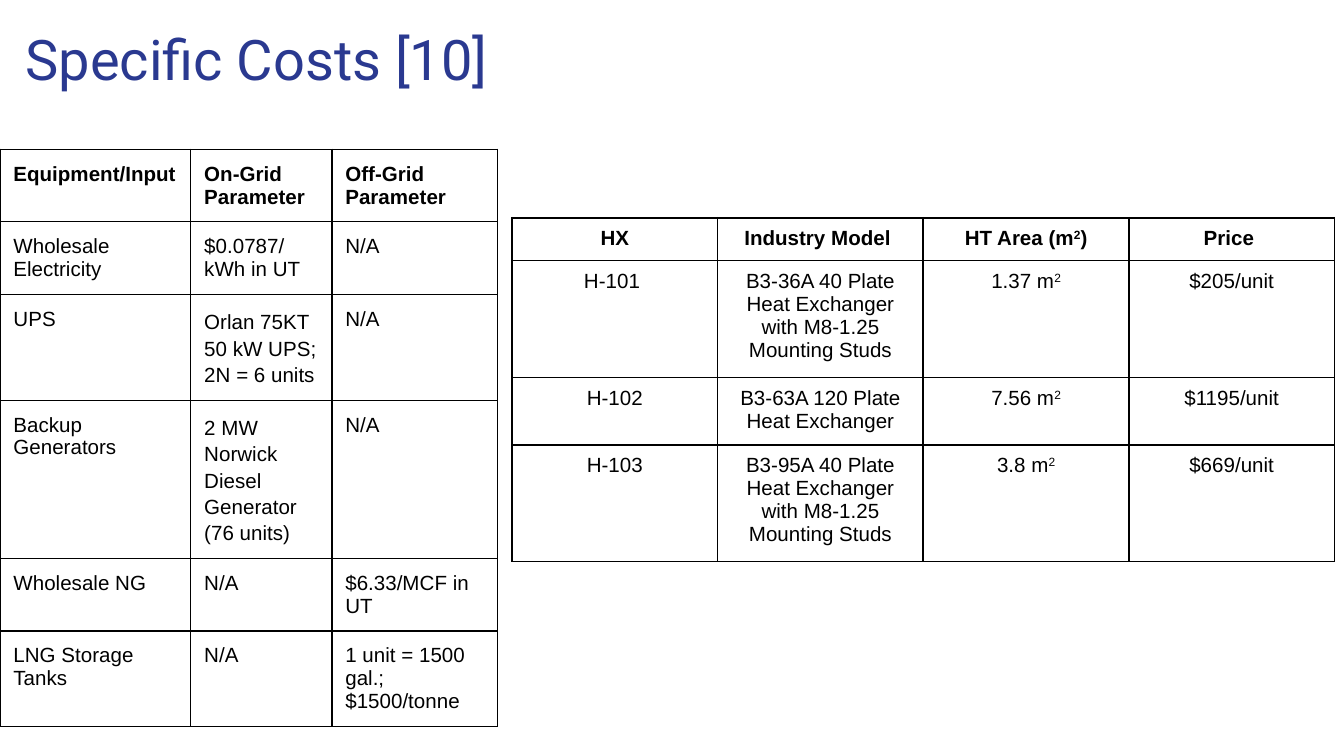
from lxml import etree
from pptx import Presentation
from pptx.dml.color import RGBColor
from pptx.enum.text import MSO_ANCHOR, MSO_AUTO_SIZE, PP_ALIGN
from pptx.oxml.ns import qn
from pptx.util import Inches, Pt

LEFT, CENTER = PP_ALIGN.LEFT, PP_ALIGN.CENTER
TOP = MSO_ANCHOR.TOP
NO_FIT = MSO_AUTO_SIZE.NONE
TITLE_ONLY = 5

COSTS = [
    ["Equipment/Input", "On-Grid Parameter", "Off-Grid Parameter"],
    ["Wholesale Electricity", "$0.0787/kWh in UT", "N/A"],
    ["UPS", "Orlan 75KT 50 kW UPS; 2N = 6 units", "N/A"],
    ["Backup Generators", "2 MW Norwick Diesel Generator (76 units)", "N/A"],
    ["Wholesale NG", "N/A", "$6.33/MCF in UT"],
    ["LNG Storage Tanks", "N/A", "1 unit = 1500 gal.; $1500/tonne"],
]
# Text between bars is superscript.
EXCHANGERS = [
    ["HX", "Industry Model ", "HT Area (m|2|)", "Price "],
    ["H-101 ", "B3-36A 40 Plate Heat Exchanger with M8-1.25 Mounting Studs",
     "1.37 m|2", "$205/unit"],
    ["H-102", "B3-63A 120 Plate Heat Exchanger", "7.56 m|2", "$1195/unit"],
    ["H-103", "B3-95A 40 Plate Heat Exchanger with M8-1.25 Mounting Studs",
     "3.8 m|2", "$669/unit"],
]


def color(hex_string):
    return RGBColor.from_string(hex_string)


class Deck:
    ink, paper, accent = "000000", "FFFFFF", "2A3990"
    title_font, body_font = "Roboto", "Arial"
    title_size, body_size = 30, 11

    def __init__(self, prs):
        self.s = prs.slides.add_slide(prs.slide_layouts[TITLE_ONLY])

    def style(self, r, font, size, hex_string, bold=False):
        r.font.name, r.font.size, r.font.bold = font, Pt(size), bold
        r.font.color.rgb = color(hex_string)

    def title(self, text, x, y, w, h):
        sp = self.s.shapes.title
        sp.left, sp.top, sp.width, sp.height = map(Inches, (x, y, w, h))
        tf = sp.text_frame
        tf.text = text
        tf.auto_size, tf.vertical_anchor = NO_FIT, TOP
        self.margins(tf, 0.1)
        p = tf.paragraphs[0]
        p.alignment, p.line_spacing = LEFT, 1.0
        self.style(p.runs[0], self.title_font, self.title_size, self.accent)

    def margins(self, box, inset):
        box.margin_left = box.margin_right = Inches(inset)
        box.margin_top = box.margin_bottom = Inches(inset)

    def borders(self, cell, width):
        tcPr = cell._tc.get_or_add_tcPr()
        for side in ("a:lnL", "a:lnR", "a:lnT", "a:lnB"):
            ln = etree.SubElement(tcPr, qn(side), w=str(Pt(width)))
            fill = etree.SubElement(ln, qn("a:solidFill"))
            etree.SubElement(fill, qn("a:srgbClr"), val=self.ink)

    def cell(self, cell, text, align, inset, border, bold):
        self.margins(cell, inset)
        self.borders(cell, border)
        cell.fill.solid()
        cell.fill.fore_color.rgb = color(self.paper)
        p = cell.text_frame.paragraphs[0]
        p.alignment = align
        for i, part in enumerate(text.split("|")):
            r = p.add_run()
            r.text = part
            self.style(r, self.body_font, self.body_size, self.ink, bold)
            if i % 2:
                r._r.get_or_add_rPr().set("baseline", "30000")

    def table(self, data, x, y, cols, rows, align, inset, border):
        frame = self.s.shapes.add_table(len(rows), len(cols), Inches(x), Inches(y),
                                        Inches(sum(cols)), Inches(sum(rows)))
        table = frame.table
        table.first_row = table.horz_banding = False
        for column, width in zip(table.columns, cols):
            column.width = Inches(width)
        for i, (row, height) in enumerate(zip(table.rows, rows)):
            row.height = Inches(height)
            for cell, text in zip(row.cells, data[i]):
                self.cell(cell, text, align, inset, border, bold=i == 0)
        return table


def main():
    prs = Presentation()
    prs.slide_width = Inches(10)
    prs.slide_height = prs.slide_width * 9 // 16
    deck = Deck(prs)
    deck.title("Specific Costs [10]", 0.09, 0.08, 9.32, 0.66)
    costs = deck.table(COSTS, 0, 1.11, [1.42, 1.05, 1.23],
                       [0.52, 0.52, 0.75, 0.75, 0.44, 0.59], LEFT, 0.1, 0.75)
    for row in (2, 3):
        costs.cell(row, 1).text_frame.paragraphs[0].line_spacing = 1.15
    deck.table(EXCHANGERS, 3.81, 1.62, [1.53] * 4,
               [0.32, 0.87, 0.5, 0.87], CENTER, 0.07, 1)
    prs.save("out.pptx")


if __name__ == "__main__":
    main()
